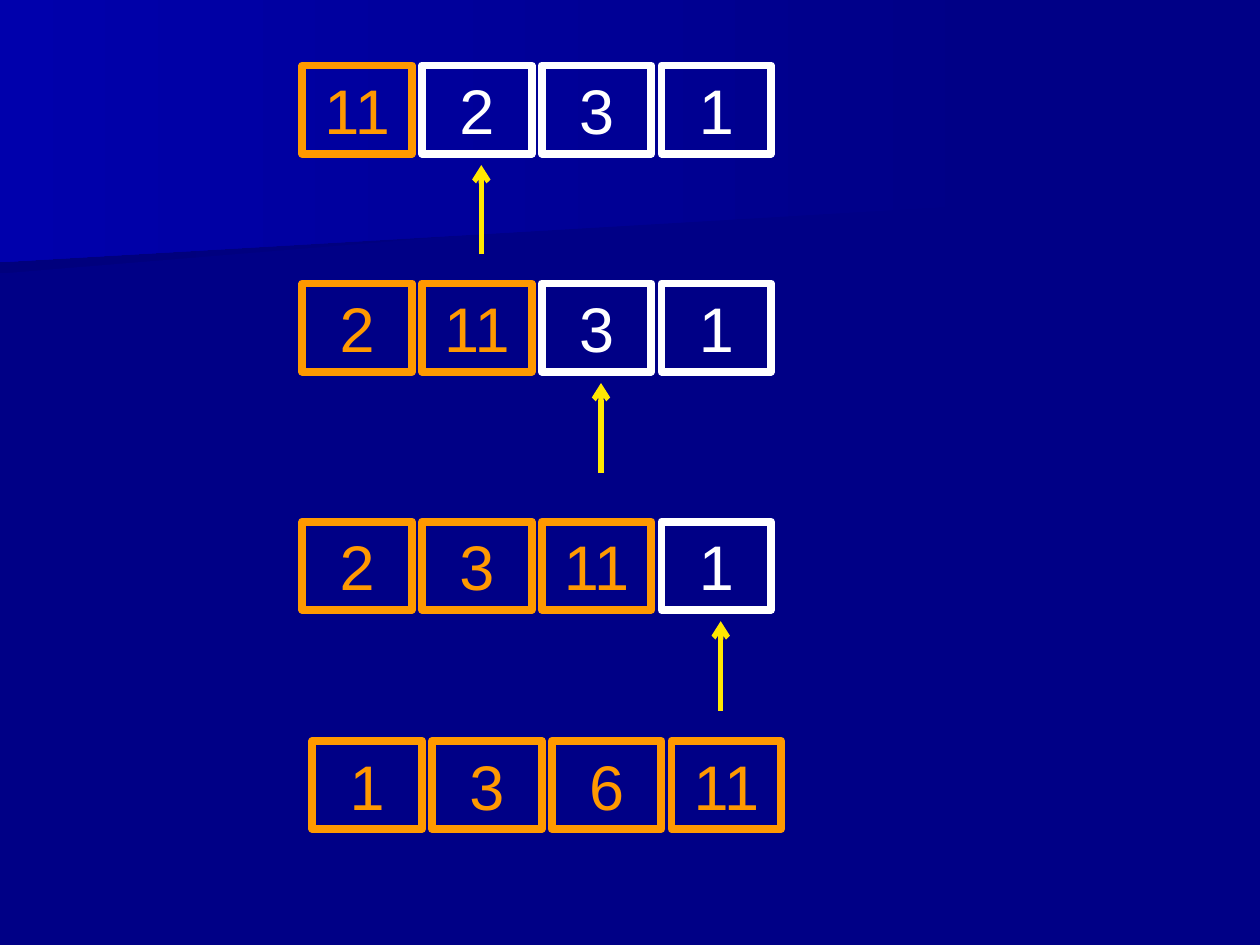
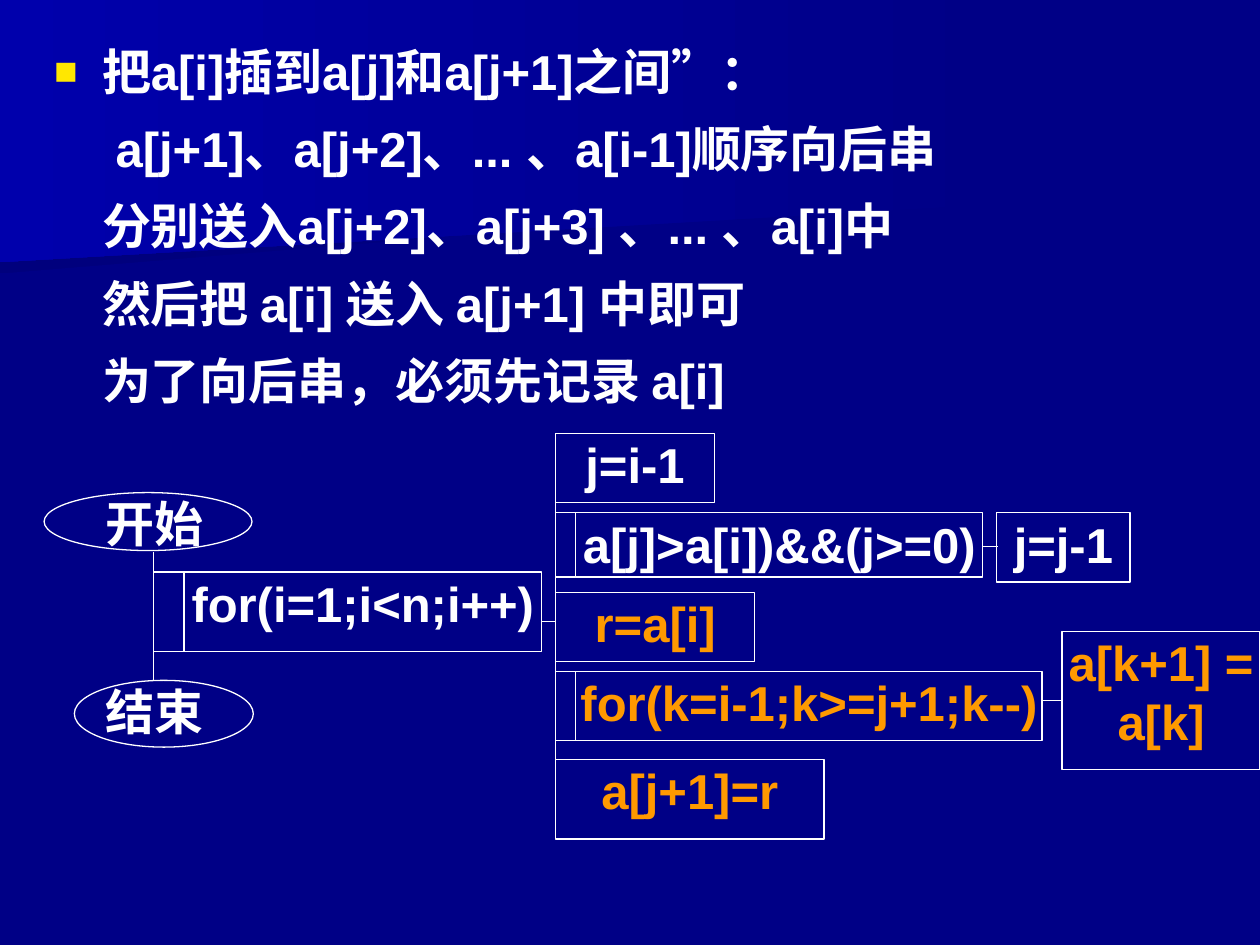
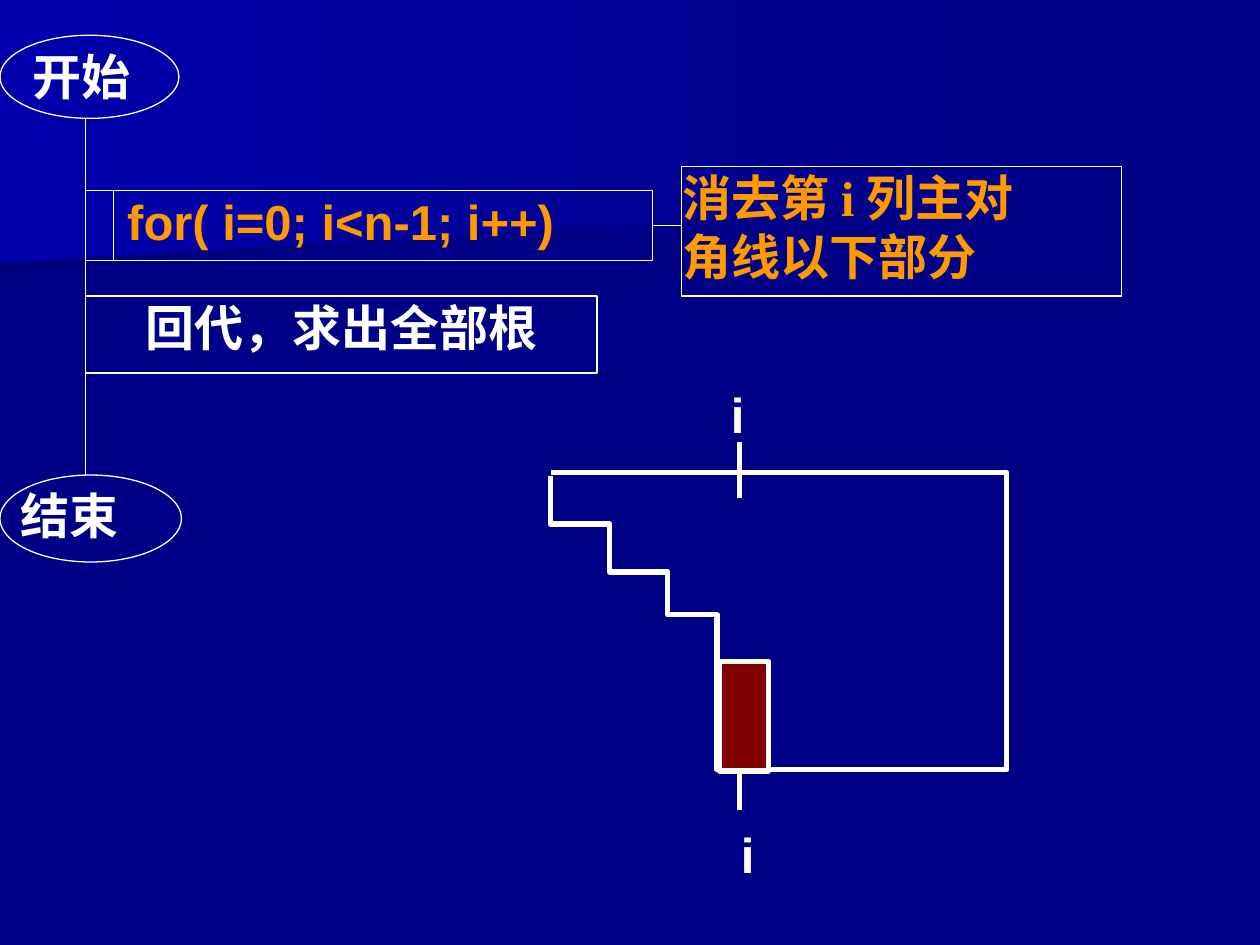
from dataclasses import dataclass

from lxml import etree
from pptx import Presentation
from pptx.dml.color import RGBColor
from pptx.enum.shapes import MSO_CONNECTOR, MSO_SHAPE
from pptx.enum.text import MSO_ANCHOR, MSO_AUTO_SIZE, PP_ALIGN
from pptx.oxml.ns import qn
from pptx.util import Inches, Pt

RECT, OVAL, STRAIGHT = MSO_SHAPE.RECTANGLE, MSO_SHAPE.OVAL, MSO_CONNECTOR.STRAIGHT
LEFT, CENTER = PP_ALIGN.LEFT, PP_ALIGN.CENTER
TOP, MIDDLE = MSO_ANCHOR.TOP, MSO_ANCHOR.MIDDLE


@dataclass(frozen=True)
class Theme:
    """Colours, fonts, type sizes and line widths of the deck."""
    back: str = "000086"
    shade: str = "00007D"
    glow: str = "0000AC"
    white: str = "FFFFFF"
    orange: str = "FF9900"
    yellow: str = "FFE701"
    maroon: str = "800000"
    sans: str = "Arial"
    serif: str = "Times New Roman"
    body: int = 28
    digit: int = 36
    hair: float = 0.75
    bold: float = 3
    frame: float = 4.5


T = Theme()


def rgb(color):
    """Turn a hex string into a colour."""
    return RGBColor.from_string(color)


def write(shape, text, size=T.body, color=T.white, font=T.sans, bold=True,
          align=LEFT, anchor=TOP, inset=0.01, left_inset=None, wrap=True):
    """Write text into a shape, one paragraph a line, and return the paragraphs."""
    tf = shape.text_frame
    tf.word_wrap, tf.auto_size, tf.vertical_anchor = wrap, MSO_AUTO_SIZE.NONE, anchor
    tf.margin_top = tf.margin_bottom = tf.margin_right = Inches(inset)
    tf.margin_left = Inches(inset if left_inset is None else left_inset)
    tf.text = text
    for p in tf.paragraphs:
        p.alignment = align
        for r in p.runs:
            r.font.size, r.font.bold, r.font.name = Pt(size), bold, font
            r.font.color.rgb = rgb(color)
    return tf.paragraphs


def label(s, x, y, w, h, text, **fmt):
    """Add a plain text box."""
    write(s.shapes.add_textbox(Inches(x), Inches(y), Inches(w), Inches(h)), text, **fmt)


def outline(shape, color, width, fill=None):
    """Give a shape its line and optional fill, without shadow."""
    shape.shadow.inherit = False
    if fill:
        shape.fill.solid()
        shape.fill.fore_color.rgb = rgb(fill)
    else:
        shape.fill.background()
    shape.line.color.rgb, shape.line.width = rgb(color), Pt(width)


def box(s, x, y, w, h, text="", kind=RECT, line=T.white, width=T.hair, fill=None, **fmt):
    """Add an outlined preset shape with optional text."""
    sp = s.shapes.add_shape(kind, Inches(x), Inches(y), Inches(w), Inches(h))
    outline(sp, line, width, fill)
    if text:
        write(sp, text, **{"align": CENTER, **fmt})


def rule(s, x1, y1, x2, y2, color=T.white, width=T.hair, arrow=False):
    """Add a straight line, with an arrowhead at its end if asked."""
    c = s.shapes.add_connector(STRAIGHT, Inches(x1), Inches(y1), Inches(x2), Inches(y2))
    c.line.color.rgb, c.line.width = rgb(color), Pt(width)
    spPr = c._element.spPr
    if arrow:
        etree.SubElement(spPr.find(qn("a:ln")), qn("a:tailEnd"), type="arrow")
    etree.SubElement(spPr, qn("a:effectLst"))


def polygon(s, points, close=True):
    """Build a freeform through points given in inches."""
    pts = [(Inches(x), Inches(y)) for x, y in points]
    builder = s.shapes.build_freeform(*pts[0])
    builder.add_line_segments(pts[1:], close=close)
    return builder.convert_to_shape()


def dress_master(prs, s):
    """Put the background and its two gradient bands on the master."""
    master = prs.slide_master
    master.background.fill.solid()
    master.background.fill.fore_color.rgb = rgb(T.back)
    bands = [([(7.78, 1.53), (0, 2.17), (0, 1.01), (7.79, 1.01)], T.shade),
             ([(7.92, 1.62), (0, 2.08), (0, 0), (7.92, 0)], T.glow)]
    for i, (points, color) in enumerate(bands):
        sp = polygon(s, points)
        sp.shadow.inherit = False
        sp.line.fill.background()
        sp.fill.gradient()
        sp.fill.gradient_angle = 180
        for stop, tone in zip(sp.fill.gradient_stops, (T.back, color)):
            stop.color.rgb = rgb(tone)
        sp._element.nvSpPr.cNvPr.set("id", str(20 + i))
        master.shapes._spTree.insert(2 + i, sp._element)


def array_row(s, x, y, values, done, pointer=True):
    """Draw an array with its sorted part in orange and a pointer to the next item."""
    pitch = 0.95
    for i, value in enumerate(values):
        color = T.orange if i < done else T.white
        box(s, x + i * pitch, y, 0.87, 0.7, str(value), line=color, width=T.frame,
            color=color, size=T.digit, bold=False, anchor=MIDDLE, inset=0.05)
    if pointer:
        mid = x + done * pitch + 0.47
        rule(s, mid, y + 1.5, mid, y + 0.79, T.yellow, T.bold, arrow=True)


def terminal(s, x, y, w, h, text, dx, dy, **fmt):
    """Draw a start or end oval with its word offset inside."""
    box(s, x, y, w, h, kind=OVAL)
    label(s, x + dx, y + dy, w - dx, h - dy, text, wrap=False, **fmt)


def loop(s, x, y, strip, w, h, text, link, link_y, **fmt):
    """Draw a loop head: a narrow strip, its condition and the link to its body."""
    box(s, x, y, strip, h)
    box(s, x + strip, y, w, h, text, **fmt)
    right = x + strip + w
    rule(s, right, y + link_y, right + link, y + link_y)


def bullet_text(s, x, y, w, h, lines):
    """Fill the body placeholder: a bulleted line and its indented followers."""
    sp = s.placeholders[1]
    sp.left, sp.top, sp.width, sp.height = map(Inches, (x, y, w, h))
    for i, p in enumerate(write(sp, "\n".join(lines), inset=0.05, left_inset=0.1)):
        pPr = p._p.get_or_add_pPr()
        pPr.set("marL", str(Inches(0.38)))
        pPr.set("indent", str(Inches(0 if i else -0.38)))
        if i:
            etree.SubElement(pPr, qn("a:buNone"))
        else:
            clr = etree.SubElement(pPr, qn("a:buClr"))
            etree.SubElement(clr, qn("a:srgbClr"), val=T.yellow)
            etree.SubElement(pPr, qn("a:buSzPct"), val="80000")
            etree.SubElement(pPr, qn("a:buFont"), typeface=T.sans)
            etree.SubElement(pPr, qn("a:buChar"), char="■")
        p.space_before, p.space_after = Pt(7 if i else 0), Pt(3.5)


def insertion_chart(s, x, y):
    """Draw the flow chart of insertion sort."""
    terminal(s, x, y + 0.47, 1.65, 0.46, "开始", 0.48, 0)
    terminal(s, x + 0.24, y + 1.96, 1.42, 0.53, "结束", 0.24, 0)
    rule(s, x + 0.87, y + 0.94, x + 0.87, y + 1.96)
    loop(s, x + 0.87, y + 1.1, 0.24, 2.84, 0.63, "for(i=1;i<n;i++)", 0.11, 0.39)
    inner = x + 4.06
    rule(s, inner, y, inner, y + 3.22)
    box(s, inner, y, 1.26, 0.55, "j=i-1")
    loop(s, inner, y + 0.63, 0.16, 3.23, 0.51, "a[j]>a[i])&&(j>=0)", 0.12, 0.27)
    box(s, inner + 3.5, y + 0.63, 1.06, 0.55, "j=j-1")
    box(s, inner, y + 1.26, 1.58, 0.55, "r=a[i]", color=T.orange)
    loop(s, inner, y + 1.89, 0.16, 3.7, 0.55, "for(k=i-1;k>=j+1;k--)", 0.16, 0.23,
         color=T.orange)
    box(s, inner + 4.02, y + 1.57, 1.57, 1.1, "a[k+1] = a[k]", color=T.orange)
    box(s, inner, y + 2.59, 2.13, 0.63, "a[j+1]=r", color=T.orange)


def elimination_chart(s, x, y):
    """Draw the flow chart of elimination and back substitution."""
    terminal(s, x, y, 1.42, 0.66, "开始", 0.25, 0.08, font=T.serif)
    terminal(s, x, y + 3.49, 1.44, 0.69, "结束", 0.15, 0.07, font=T.serif)
    rule(s, x + 0.68, y + 0.66, x + 0.68, y + 3.49)
    loop(s, x + 0.68, y + 1.23, 0.22, 4.28, 0.56, "for( i=0; i<n-1; i++)", 0.23, 0.28,
         color=T.orange, align=LEFT, left_inset=0.11)
    box(s, x + 5.41, y + 1.04, 3.49, 1.03, "消去第 i 列主对\n角线以下部分",
        color=T.orange, font=T.serif, align=LEFT)
    box(s, x + 0.68, y + 2.07, 4.06, 0.61, "回代，求出全部根", font=T.serif)


def staircase(s, x, y):
    """Draw the matrix outline with its column i marked."""
    steps = [(0, 0.03), (0, 0.41), (0.47, 0.41), (0.47, 0.79), (0.93, 0.79), (0.93, 1.13),
             (1.32, 1.13), (1.32, 2.36), (3.62, 2.36), (3.62, 0), (0, 0)]
    outline(polygon(s, [(x + dx, y + dy) for dx, dy in steps], close=False), T.white, T.bold)
    for top, bottom in ((-0.24, 0.2), (2.16, 2.68)):
        rule(s, x + 1.5, y + top, x + 1.5, y + bottom, width=T.bold)
    for dx, dy in ((1.42, -0.71), (1.5, 2.78)):
        label(s, x + dx, y + dy, 0.3, 0.45, "i")
    box(s, x + 1.34, y + 1.5, 0.39, 0.87, width=T.bold, fill=T.maroon)


def sorting_slide(s):
    """Show the four states of the array."""
    array_row(s, 2.4, 0.52, (11, 2, 3, 1), 1)
    array_row(s, 2.4, 2.25, (2, 11, 3, 1), 2)
    array_row(s, 2.4, 4.14, (2, 3, 11, 1), 3)
    array_row(s, 2.48, 5.88, (1, 3, 6, 11), 4, pointer=False)


def insertion_slide(s):
    """Explain the insertion step above its flow chart."""
    title = s.shapes.title._element
    title.getparent().remove(title)
    bullet_text(s, 0.33, 0.28, 9.34, 3.07, [
        "把a[i]插到a[j]和a[j+1]之间”：",
        " a[j+1]、a[j+2]、... 、a[i-1]顺序向后串",
        "分别送入a[j+2]、a[j+3] 、... 、a[i]中",
        "然后把 a[i] 送入 a[j+1] 中即可",
        "为了向后串，必须先记录 a[i]"])
    insertion_chart(s, 0.35, 3.44)


def elimination_slide(s):
    """Show the elimination flow chart and the matrix."""
    elimination_chart(s, 0, 0.28)
    staircase(s, 4.37, 3.75)


def main():
    """Build and save the deck."""
    prs = Presentation()
    prs.slide_width, prs.slide_height = Inches(10), Inches(7.5)
    content, blank = prs.slide_layouts[1], prs.slide_layouts[6]
    s = prs.slides.add_slide(blank)
    dress_master(prs, s)
    sorting_slide(s)
    insertion_slide(prs.slides.add_slide(content))
    elimination_slide(prs.slides.add_slide(blank))
    prs.save("out.pptx")


if __name__ == "__main__":
    main()
